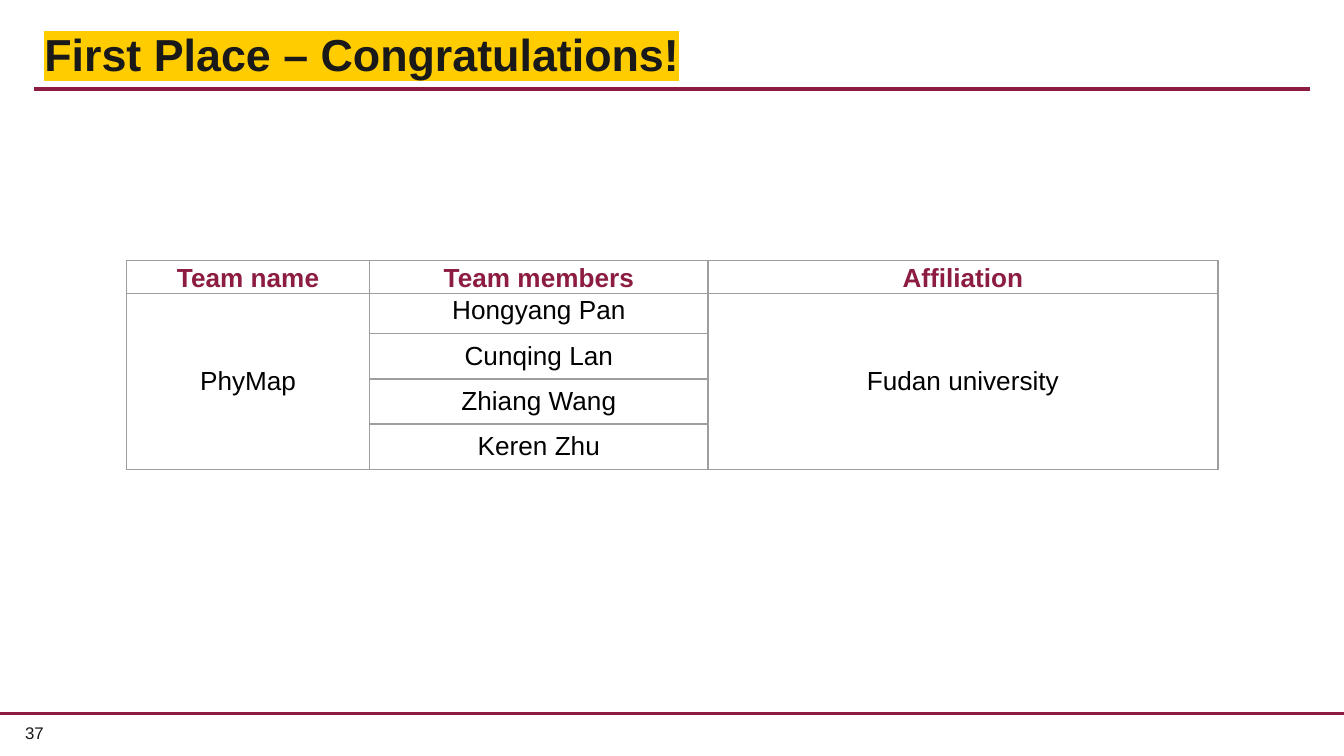
"""Build the first place announcement slide with its team table."""
from lxml import etree
from pptx import Presentation
from pptx.dml.color import RGBColor
from pptx.enum import shapes, text
from pptx.oxml import ns
from pptx.util import Cm, Pt

TITLE = "First Place – Congratulations!"
PAGE_NUMBER = "37"
HEADERS = ("Team name", "Team members", "Affiliation")
TEAM = "PhyMap"
MEMBERS = ("Hongyang Pan", "Cunqing Lan", "Zhiang Wang", "Keren Zhu")
AFFILIATION = "Fudan university"

MAROON = RGBColor(0x8C, 0x1D, 0x40)
GOLD = RGBColor(0xFF, 0xCC, 0x00)
INK = RGBColor(0x19, 0x19, 0x19)
BLACK = RGBColor(0, 0, 0)
GREY = RGBColor(0x9E, 0x9E, 0x9E)

SLIDE_WIDTH, SLIDE_HEIGHT = 25.4, 14.29
MARGIN = 0.64
TABLE_LEFT, TABLE_TOP = 2.39, 4.93
COLUMN_WIDTHS = (4.6, 6.39, 9.64)
ROW_HEIGHTS = (0.58, 0.7, 0.81, 0.81, 0.81)
TIGHT = (0.03, 0.03, 0.03, 0)
FIRST_MEMBER = (0.03, 0.03, 0.03, 0.13)
ROOMY = (0.25, 0.13, 0.25, 0.13)


def style(paragraph, size, color, bold=False):
    for run in paragraph.runs:
        run.font.name = "Arial"
        run.font.size = Pt(size)
        run.font.bold = bold
        run.font.color.rgb = color


def add_text(slide, box, content, insets):
    shape = slide.shapes.add_textbox(*map(Cm, box))
    frame = shape.text_frame
    frame.word_wrap = True
    (frame.margin_left, frame.margin_top,
     frame.margin_right, frame.margin_bottom) = map(Cm, insets)
    frame.text = content
    return frame


def add_rule(slide, left, right, top):
    rule = slide.shapes.add_connector(
        shapes.MSO_CONNECTOR.STRAIGHT, Cm(left), Cm(top), Cm(right), Cm(top))
    rule.line.color.rgb = MAROON
    rule.line.width = Pt(1.75)
    etree.SubElement(rule._element.spPr, ns.qn("a:effectLst"))


def add_borders(cell):
    properties = cell._tc.get_or_add_tcPr()
    for index, side in enumerate(("lnL", "lnR", "lnT", "lnB")):
        line = etree.Element(ns.qn(f"a:{side}"), w=str(Pt(0.75)))
        fill = etree.SubElement(line, ns.qn("a:solidFill"))
        etree.SubElement(fill, ns.qn("a:srgbClr"), val=str(GREY))
        properties.insert(index, line)


def fill_cell(cell, content, insets, anchor, color, bold):
    (cell.margin_left, cell.margin_top,
     cell.margin_right, cell.margin_bottom) = map(Cm, insets)
    cell.vertical_anchor = anchor
    cell.fill.background()
    add_borders(cell)
    cell.text_frame.text = content
    paragraph = cell.text_frame.paragraphs[0]
    paragraph.alignment = text.PP_ALIGN.CENTER
    paragraph.font.size = Pt(14)
    style(paragraph, 14, color, bold)


def add_team_table(slide):
    rows = [HEADERS] + [
        (TEAM, member, AFFILIATION) if index == 0 else ("", member, "")
        for index, member in enumerate(MEMBERS)]
    table = slide.shapes.add_table(
        len(rows), len(HEADERS), Cm(TABLE_LEFT), Cm(TABLE_TOP),
        Cm(sum(COLUMN_WIDTHS)), Cm(sum(ROW_HEIGHTS))).table
    table.first_row = table.horz_banding = False
    for column, width in zip(table.columns, COLUMN_WIDTHS):
        column.width = Cm(width)
    for row, height in zip(table.rows, ROW_HEIGHTS):
        row.height = Cm(height)
    for r, values in enumerate(rows):
        for c, value in enumerate(values):
            header, first_member = r == 0, (r, c) == (1, 1)
            insets = TIGHT if header else FIRST_MEMBER if first_member else ROOMY
            anchor = text.MSO_ANCHOR.TOP if first_member else text.MSO_ANCHOR.MIDDLE
            fill_cell(table.cell(r, c), value, insets, anchor,
                      MAROON if header else BLACK, header)
    for c in (0, 2):
        table.cell(1, c).merge(table.cell(len(MEMBERS), c))


def add_title(slide):
    frame = add_text(slide, (MARGIN, 0.48, SLIDE_WIDTH - 2 * MARGIN, 1.22),
                     TITLE, (0.2, 0.1, 0.2, 0.1))
    frame.vertical_anchor = text.MSO_ANCHOR.MIDDLE
    paragraph = frame.paragraphs[0]
    paragraph.line_spacing = 0.88
    style(paragraph, 24, INK, True)
    properties = paragraph.runs[0].font._element
    highlight = etree.Element(ns.qn("a:highlight"))
    etree.SubElement(highlight, ns.qn("a:srgbClr"), val=str(GOLD))
    properties.find(ns.qn("a:solidFill")).addnext(highlight)


def main():
    presentation = Presentation()
    presentation.slide_width = Cm(SLIDE_WIDTH)
    presentation.slide_height = Cm(SLIDE_HEIGHT)
    slide = presentation.slides.add_slide(presentation.slide_layouts[6])
    add_rule(slide, MARGIN, SLIDE_WIDTH - MARGIN, 1.68)
    add_rule(slide, 0, SLIDE_WIDTH, 13.49)
    number = add_text(slide, (-0.86, 13.67, 3.02, 0.46), PAGE_NUMBER, (0, 0, 0, 0))
    number.paragraphs[0].alignment = text.PP_ALIGN.CENTER
    style(number.paragraphs[0], 9, INK)
    add_title(slide)
    add_team_table(slide)
    presentation.save("out.pptx")


if __name__ == "__main__":
    main()
